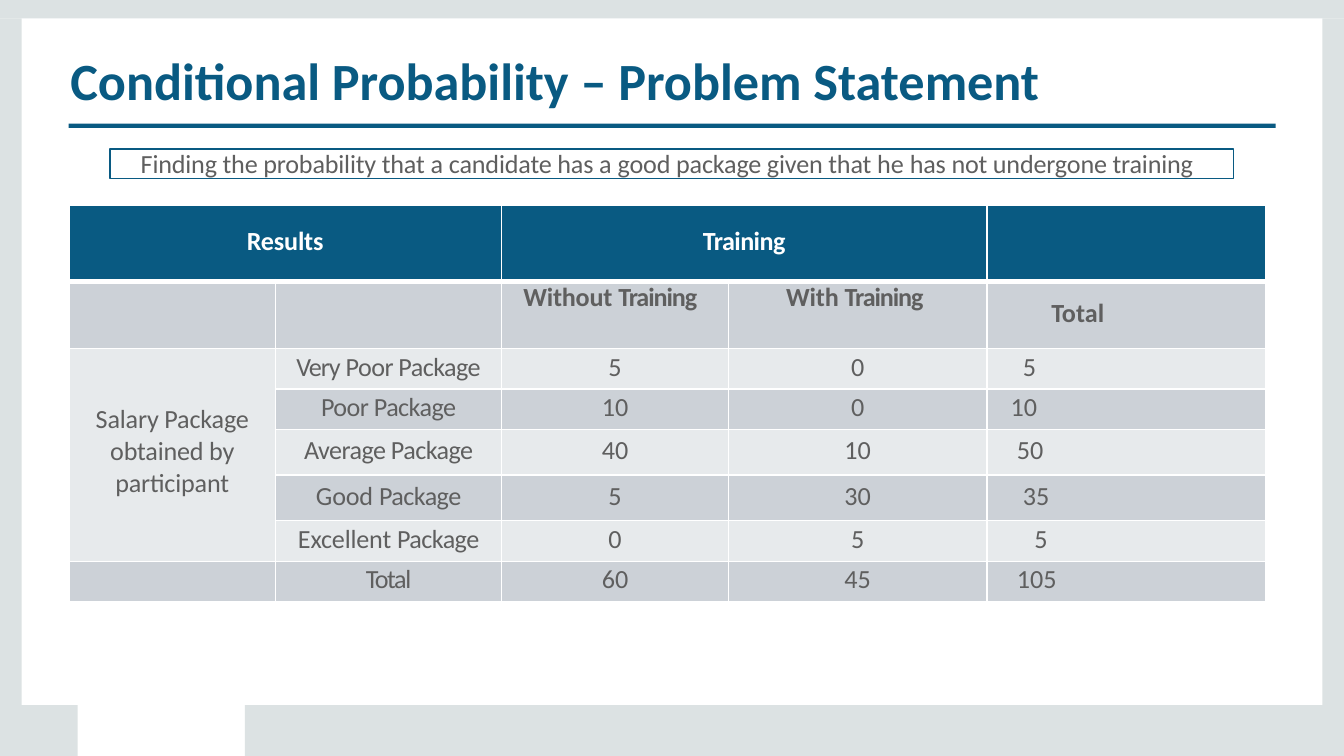
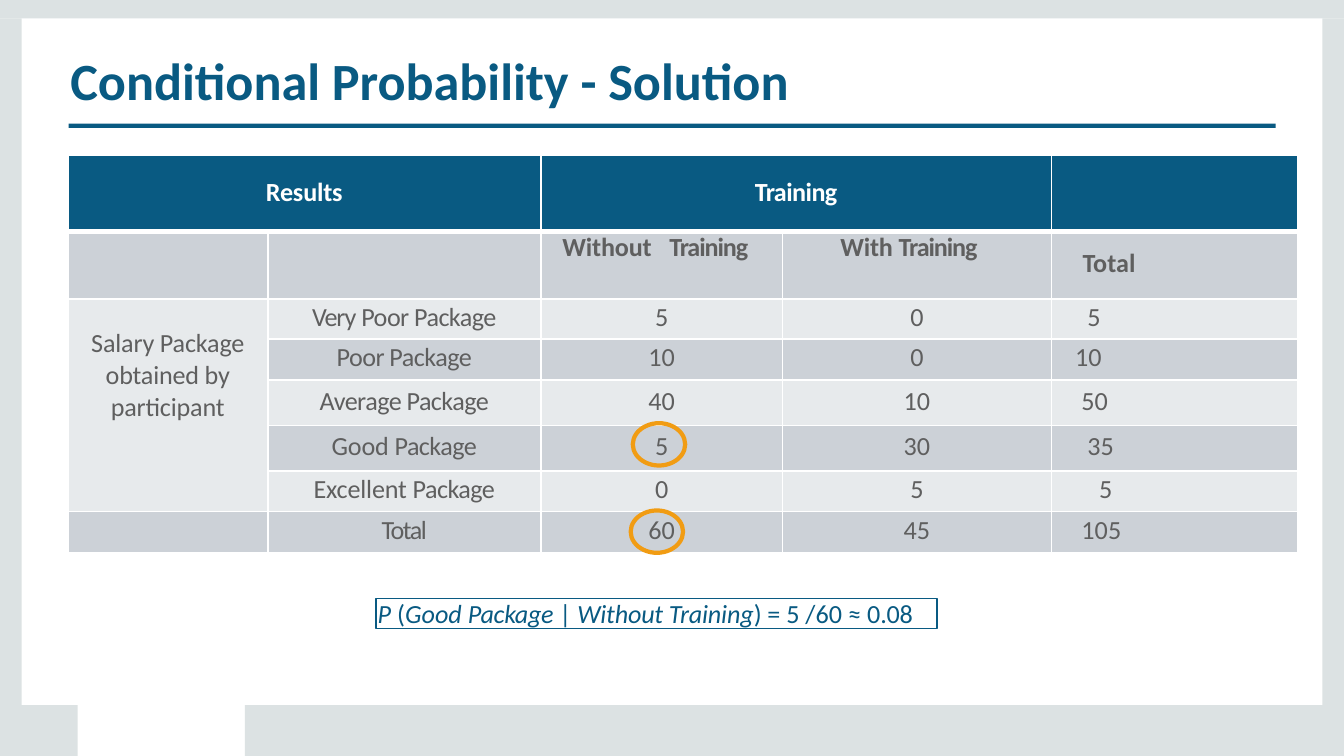
"""Builds two slides on conditional probability: the problem and its solution."""
from lxml import etree
from pptx import Presentation
from pptx import util as u
from pptx.dml.color import RGBColor
from pptx.enum import shapes, text
from pptx.oxml.ns import qn

FONT = "Calibri"
BLUE, GREY, WHITE = "095A82", "5F5F5F", "FFFFFF"
FRAME, ORANGE = "DCE2E3", "F19C13"
DARK_ROW, LIGHT_ROW = "CCD1D7", "E7EAEC"
LEFT, CENTER, RIGHT = text.PP_ALIGN.LEFT, text.PP_ALIGN.CENTER, text.PP_ALIGN.RIGHT

SLIDE_WIDTH, SLIDE_HEIGHT = 25.4, 14.29
SIDE, TOP_BAND, BOTTOM_BAND = 0.41, 0.35, 13.33
ROW_HEIGHTS = [1.45, 1.27, 0.76, 0.77, 0.86, 0.86, 0.77, 0.77]

# Each row: label runs, without training, with training, total, indent of the total, top margin
PACKAGES = [
    ([("Very ", -0.6), ("Poor Package", -0.3)], "5", "0", "5", 0.68, 0.05),
    ([("Poor Package", -0.3)], "10", "0", "10", 0.45, 0.05),
    ([("Average Package", -0.3)], "40", "10", "50", 0.57, 0.1),
    ([("Good ", -0.1), ("Package", -0.3)], "5", "30", "35", 0.68, 0.1),
    ([("Excellent ", -0.1), ("Package", -0.3)], "0", "5", "5", 0.9, 0.05),
    ([("Total", -0.8)], "60", "45", "105", 0.57, 0.05),
]


def rgb(value):
    """Turn a hex string into a colour."""
    return RGBColor.from_string(value)


def add_run(paragraph, words, color, size=14, bold=False, italic=False, spacing=0):
    """Append one formatted run, with letter spacing in points."""
    run = paragraph.add_run()
    run.text = words
    run.font.name, run.font.size = FONT, u.Pt(size)
    run.font.bold, run.font.italic = bold, italic
    run.font.color.rgb = rgb(color)
    if spacing:
        run._r.get_or_add_rPr().set("spc", str(round(spacing * 100)))


def set_margins(target, left=0, top=0, right=0, bottom=0):
    """Set the inner margins of a cell or a text frame, in centimetres."""
    target.margin_left, target.margin_top = u.Cm(left), u.Cm(top)
    target.margin_right, target.margin_bottom = u.Cm(right), u.Cm(bottom)


def add_shape(slide, kind, left, top, width, height, fill=None, line=None, weight=1):
    """Add a preset shape without shadow; fill and line are optional."""
    shape = slide.shapes.add_shape(kind, u.Cm(left), u.Cm(top), u.Cm(width), u.Cm(height))
    shape.shadow.inherit = False
    if fill:
        shape.fill.solid()
        shape.fill.fore_color.rgb = rgb(fill)
    else:
        shape.fill.background()
    if line:
        shape.line.color.rgb = rgb(line)
        shape.line.width = u.Pt(weight)
    else:
        shape.line.fill.background()
    return shape


def add_rectangle(slide, *box, **style):
    """Add a rectangle."""
    return add_shape(slide, shapes.MSO_SHAPE.RECTANGLE, *box, **style)


def add_ring(slide, left, top):
    """Circle one value of the table."""
    add_shape(slide, shapes.MSO_SHAPE.OVAL, left, top, 0.99, 0.8, line=ORANGE, weight=2.28)


def add_base_slide(presentation, title, title_width):
    """Add a slide with the grey frame, the title and the rule below it."""
    slide = presentation.slides.add_slide(presentation.slide_layouts[5])
    side_height = BOTTOM_BAND - TOP_BAND
    bottom_height = SLIDE_HEIGHT - BOTTOM_BAND
    for band in [
        (SLIDE_WIDTH - SIDE, TOP_BAND, SIDE, side_height),
        (0, TOP_BAND, SIDE, side_height),
        (4.63, BOTTOM_BAND, SLIDE_WIDTH - 4.63, bottom_height),
        (0, BOTTOM_BAND, 1.47, bottom_height),
        (0, 0, SLIDE_WIDTH, TOP_BAND),
    ]:
        add_rectangle(slide, *band, fill=FRAME)
    shape = slide.shapes.title
    shape.left, shape.top = u.Cm(1.3), u.Cm(0.89)
    shape.width, shape.height = u.Cm(title_width), u.Cm(1.22)
    frame = shape.text_frame
    frame.auto_size = text.MSO_AUTO_SIZE.NONE
    frame.vertical_anchor = text.MSO_ANCHOR.TOP
    set_margins(frame, left=0.03, top=0.03)
    frame.paragraphs[0].alignment = LEFT
    add_run(frame.paragraphs[0], title, BLUE, size=28, bold=True)
    add_rectangle(slide, 1.3, 2.34, 22.81, 0.08, fill=BLUE)
    return slide


def add_boxed_line(slide, left, top, width, indent, color, runs):
    """Add a thin outlined box with one line of (words, italic, spacing) runs."""
    shape = add_rectangle(slide, left, top, width, 0.56, line=BLUE, weight=0.72)
    frame = shape.text_frame
    frame.word_wrap = True
    frame.vertical_anchor = text.MSO_ANCHOR.TOP
    set_margins(frame, left=indent)
    paragraph = frame.paragraphs[0]
    paragraph.alignment = LEFT
    paragraph.line_spacing = u.Pt(16)
    for words, italic, spacing in runs:
        add_run(paragraph, words, color, italic=italic, spacing=spacing)


def style_cell(cell, fill, top=1, bottom=1):
    """Give a cell its white borders, its fill and no margins."""
    properties = cell._tc.get_or_add_tcPr()
    for side, weight in (("L", 1), ("R", 1), ("T", top), ("B", bottom)):
        line = etree.SubElement(properties, qn(f"a:ln{side}"), w=str(u.Pt(weight)))
        solid = etree.SubElement(line, qn("a:solidFill"))
        etree.SubElement(solid, qn("a:srgbClr"), val=WHITE)
    cell.fill.solid()
    cell.fill.fore_color.rgb = rgb(fill)
    set_margins(cell)


def write_cell(cell, runs, color=GREY, bold=False, alignment=CENTER, **margins):
    """Write (words, spacing) runs into a cell."""
    set_margins(cell, **margins)
    paragraph = cell.text_frame.paragraphs[0]
    paragraph.alignment = alignment
    for words, spacing in runs:
        add_run(paragraph, words, color, bold=bold, spacing=spacing)


def add_results_table(slide, left, top, widths, without_label, group_top):
    """Add the table of salary packages by training."""
    frame = slide.shapes.add_table(
        len(ROW_HEIGHTS), len(widths), u.Cm(left), u.Cm(top),
        u.Cm(sum(widths)), u.Cm(sum(ROW_HEIGHTS)))
    table = frame.table
    for column, width in zip(table.columns, widths):
        column.width = u.Cm(width)
    for index, (row, height) in enumerate(zip(table.rows, ROW_HEIGHTS)):
        row.height = u.Cm(height)
        fill = BLUE if index == 0 else DARK_ROW if index % 2 else LIGHT_ROW
        for cell in row.cells:
            style_cell(cell, fill, top=3 if index == 1 else 1, bottom=3 if index == 0 else 1)

    for column, label, spacing in ((0, "Results", -0.1), (2, "Training", -0.3)):
        table.cell(0, column).merge(table.cell(0, column + 1))
        write_cell(table.cell(0, column), [(label, spacing)], WHITE, bold=True, top=0.4)
    write_cell(table.cell(1, 2), without_label, bold=True, alignment=LEFT, left=0.41)
    write_cell(table.cell(1, 3), [("With ", -0.1), ("Training", -0.6)],
               bold=True, alignment=LEFT, left=1.09)
    write_cell(table.cell(1, 4), [("Total", 0)], bold=True, alignment=RIGHT, top=0.3, right=3.06)

    table.cell(2, 0).merge(table.cell(6, 0))
    write_cell(table.cell(2, 0), [("Salary Package obtained by participant", -0.1)], top=group_top)
    for index, (label, without, trained, total, indent, margin) in enumerate(PACKAGES, 2):
        write_cell(table.cell(index, 1), label, top=margin)
        for column, value in ((2, without), (3, trained)):
            write_cell(table.cell(index, column), [(value, 0)], top=margin)
        write_cell(table.cell(index, 4), [(total, 0)], alignment=LEFT, left=indent, top=margin)

    for cell in table.iter_cells():
        paragraph = cell.text_frame.paragraphs[0]
        if not paragraph.runs:
            etree.SubElement(paragraph._p, qn("a:endParaRPr"), sz="1400")


def add_problem_slide(presentation):
    """Add the problem statement."""
    slide = add_base_slide(presentation, "Conditional Probability – Problem Statement", 18.44)
    add_boxed_line(slide, 2.08, 2.82, 21.23, 0.58, GREY, [
        ("Finding the probability that ", False, -0.1),
        ("a ", False, 0),
        ("candidate has ", False, -0.1),
        ("a ", False, 0),
        ("good package given that ", False, -0.1),
        ("he ", False, 0),
        ("has not undergone training", False, -0.1),
    ])
    add_results_table(slide, 1.3, 3.87, [3.91, 4.27, 4.29, 4.88, 5.28],
                      [("Without ", -0.1), ("Training", -0.6)], group_top=1.04)


def add_solution_slide(presentation):
    """Add the solution with the two values used."""
    slide = add_base_slide(presentation, "Conditional Probability - Solution", 13.64)
    add_boxed_line(slide, 7.11, 11.32, 10.6, 0.03, BLUE, [
        ("P ", True, 0),
        ("(", False, 0),
        ("Good ", True, 0),
        ("Package ", True, -0.2),
        ("| ", False, 0),
        ("Without Training", True, -0.1),
        (") ", False, -0.1),
        ("= 5 /60 ≈ ", False, 0),
        ("0.08", False, -0.1),
    ])
    add_results_table(slide, 1.28, 2.93, [3.78, 5.16, 4.57, 5.08, 4.65],
                      [("Without", -0.1), (" ", 6.2), ("Training", -0.6)], group_top=0.55)
    add_ring(slide, 11.96, 8)
    add_ring(slide, 11.92, 9.65)


def main():
    """Build and save the presentation."""
    presentation = Presentation()
    presentation.slide_width = u.Cm(SLIDE_WIDTH)
    presentation.slide_height = u.Cm(SLIDE_HEIGHT)
    add_problem_slide(presentation)
    add_solution_slide(presentation)
    presentation.save("out.pptx")


if __name__ == "__main__":
    main()
